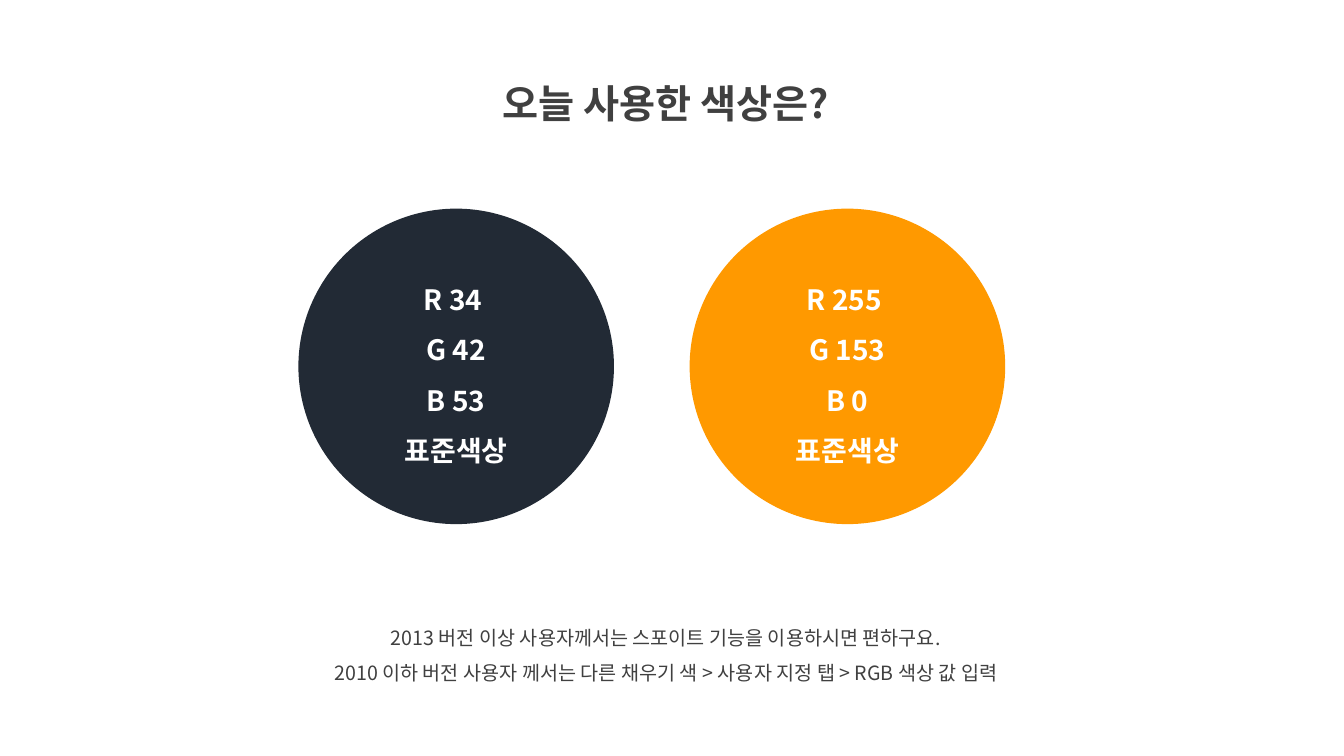
from dataclasses import dataclass

from pptx import Presentation
from pptx.dml.color import RGBColor as Rgb
from pptx.enum.shapes import MSO_SHAPE as Shape
from pptx.enum.text import MSO_ANCHOR as Anchor, MSO_AUTO_SIZE as Fit, PP_ALIGN as Align
from pptx.oxml.ns import qn
from pptx.util import Inches, Pt


@dataclass(frozen=True)
class Theme:
    """Colours, type sizes and font of the slide."""
    ink: str = "404040"
    white: str = "FFFFFF"
    navy: str = "222A35"
    orange: str = "FF9900"
    title: int = 28
    label: int = 20
    note: int = 14
    font: str = "Noto Sans CJK KR"
    gap: float = 1.5


THEME = Theme()


def write(frame, lines, size, color=THEME.ink, bold=False, anchor=Anchor.TOP):
    """Fill a text frame with centred lines in one format."""
    frame.word_wrap = True
    frame.vertical_anchor = anchor
    for i, line in enumerate(lines):
        para = frame.paragraphs[0] if i == 0 else frame.add_paragraph()
        para.alignment = Align.CENTER
        para.line_spacing = THEME.gap
        run = para.add_run()
        run.text = line
        font = run.font
        font.name = THEME.font
        font.size = Pt(size)
        font.bold = bold
        font.color.rgb = Rgb.from_string(color)
        # East Asian text takes its font from its own element
        east = font._element.makeelement(qn("a:ea"), {"typeface": THEME.font})
        font._element.find(qn("a:latin")).addnext(east)


def add_text(slide, box, lines, **style):
    """Add a text box that grows with its lines."""
    frame = slide.shapes.add_textbox(*map(Inches, box)).text_frame
    write(frame, lines, **style)
    frame.auto_size = Fit.SHAPE_TO_FIT_TEXT


def add_swatch(slide, left, color, lines):
    """Add a round colour swatch that lists its values."""
    top, side = 2.07, 3.13
    disc = slide.shapes.add_shape(Shape.OVAL, *map(Inches, (left, top, side, side)))
    disc.shadow.inherit = False
    disc.fill.solid()
    disc.fill.fore_color.rgb = Rgb.from_string(color)
    disc.line.fill.background()
    write(disc.text_frame, lines, size=THEME.label, color=THEME.white,
          bold=True, anchor=Anchor.MIDDLE)


def main():
    """Build the colour slide and save it."""
    deck = Presentation()
    deck.slide_width, deck.slide_height = Inches(13.33), Inches(7.5)
    slide = deck.slides.add_slide(deck.slide_layouts[6])

    add_text(slide, (4.29, 0.5, 4.63, 0.72), ["오늘 사용한 색상은?"],
             size=THEME.title, bold=True)
    add_text(slide, (2.61, 6.04, 7.99, 0.81), [
        "2013 버전 이상 사용자께서는 스포이트 기능을 이용하시면 편하구요.",
        "2010 이하 버전 사용자 께서는 다른 채우기 색 > 사용자 지정 탭 > RGB 색상 값 입력",
    ], size=THEME.note)

    for left, color in ((6.84, THEME.orange), (2.96, THEME.navy)):
        red, green, blue = Rgb.from_string(color)
        add_swatch(slide, left, color,
                   [f"R {red} ", f"G {green}", f"B {blue}", "표준색상"])

    deck.save("out.pptx")


main()
